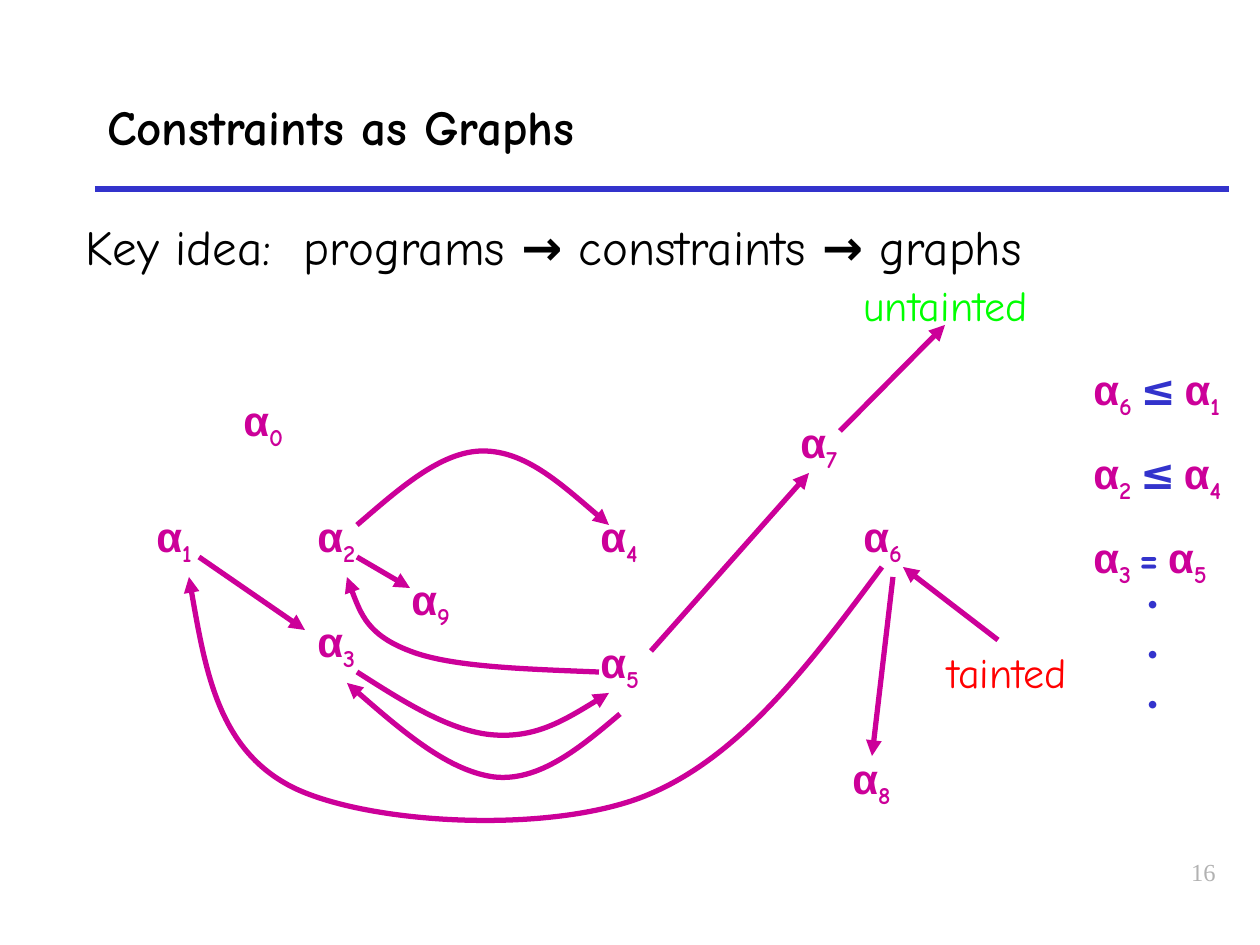
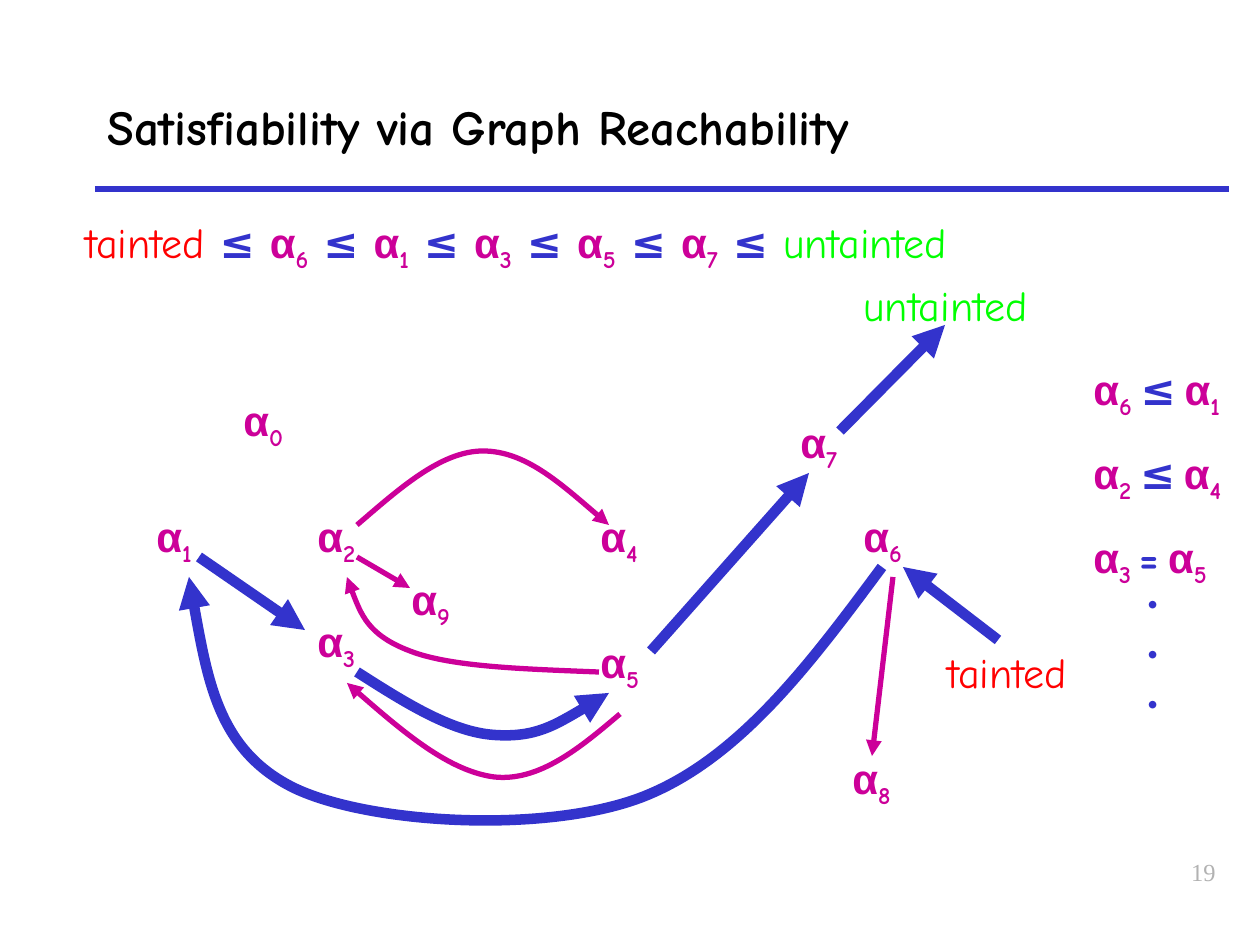
import pptx
import pptx.util
import pptx.dml.color
import pptx.enum.shapes
import pptx.enum.text
import pptx.oxml.ns
import lxml.etree

PX = 914400 / 126
COLORS = {
    "ink": "000000", "blue": "3333CC", "magenta": "CC0099",
    "tainted": "FF0000", "untainted": "00FF00", "number": "B2B2B2",
}
HAND = "Comic Neue"
qn = pptx.oxml.ns.qn

# Positions inside the graph box
NODES = {
    0: (131, 138), 1: (44, 254), 2: (205, 254), 3: (205, 359), 4: (488, 254),
    5: (488, 380), 6: (751, 254), 7: (688, 160), 8: (740, 496), 9: (299, 317),
}
LABELS = {"untainted": (751, 23), "tainted": (835, 390)}
# Two points make a straight edge; more are a start and Bezier triples
EDGES = {
    (6, 1): [(782, 317), (710, 414), (638, 511), (540, 548), (443, 584),
             (269, 574), (194, 538), (119, 501), (104, 414), (89, 327)],
    (2, 4): [(257, 275), (299, 239), (341, 201), (383, 201),
             (425, 201), (467, 239), (509, 275)],
    (3, 5): [(257, 422), (304, 452), (351, 482), (394, 485),
             (436, 488), (472, 466), (509, 443)],
    (5, 3): [(520, 464), (480, 498), (439, 532), (394, 527),
             (349, 521), (297, 477), (247, 433)],
    (5, 2): [(499, 422), (425, 419), (351, 417), (310, 401),
             (268, 385), (257, 356), (247, 327)],
    (1, 3): [(99, 307), (205, 380)],
    ("tainted", 6): [(898, 390), (803, 317)],
    (6, 8): [(793, 327), (772, 506)],
    (5, 7): [(551, 401), (709, 223)],
    (2, 9): [(257, 307), (310, 338)],
    (7, "untainted"): [(740, 181), (845, 75)],
}
REACHING_PATH = ["tainted", 6, 1, 3, 5, 7, "untainted"]
CONSTRAINTS = [(6, "≤", 1), (2, "≤", 4), (3, "=", 5)]


def emu(px):
    return pptx.util.Emu(round(px * PX))


def rgb(name):
    return pptx.dml.color.RGBColor.from_string(COLORS[name])


def add_text(s, box, paragraphs, align="LEFT", anchor="TOP", **base):
    """Each paragraph is a list of (text, format) runs; base holds the defaults."""
    tf = s.shapes.add_textbox(*map(emu, box)).text_frame
    tf.word_wrap = True
    tf.vertical_anchor = getattr(pptx.enum.text.MSO_ANCHOR, anchor)
    for i, runs in enumerate(paragraphs):
        p = tf.paragraphs[0] if i == 0 else tf.add_paragraph()
        p.alignment = getattr(pptx.enum.text.PP_ALIGN, align)
        for text, changes in runs:
            fmt = {"size": 24, "font": HAND, "color": "ink", "bold": False} | base | changes
            r = p.add_run()
            r.text = text
            r.font.size = pptx.util.Pt(fmt["size"])
            r.font.name = fmt["font"]
            r.font.bold = fmt["bold"]
            r.font.color.rgb = rgb(fmt["color"])
            if fmt.get("sub"):
                r.font._element.set("baseline", "-25000")


def alpha(index):
    style = {"color": "magenta", "bold": True}
    return [("α", style | {"font": "Arial"}), (str(index), style | {"sub": True})]


def relation(sign, narrow=False):
    """A sign between two spaces; narrow ones are as small as the subscripts."""
    style = {"color": "blue", "bold": True}
    space = (" ", style | {"sub": narrow})
    return [space, (sign, style), space]


def style_line(sp, color, width, arrow=True):
    sp.line.color.rgb = rgb(color)
    sp.line.width = pptx.util.Pt(width)
    if arrow:
        ln = sp.line._get_or_add_ln()
        lxml.etree.SubElement(ln, qn("a:tailEnd"), type="triangle")


def add_line(s, start, end):
    sp = s.shapes.add_connector(pptx.enum.shapes.MSO_CONNECTOR.STRAIGHT,
                                *map(emu, start + end))
    lxml.etree.SubElement(sp._element.spPr, qn("a:effectLst"))
    return sp


def add_curve(s, points):
    """Lay the control points as a freeform, then join each three into a Bezier."""
    builder = s.shapes.build_freeform(*points[0], scale=PX)
    builder.add_line_segments(points[1:], close=False)
    sp = builder.convert_to_shape()
    sp.shadow.inherit = False
    sp.fill.background()
    steps = list(sp._element.iter(qn("a:lnTo")))
    outline = steps[0].getparent()
    for i in range(0, len(steps), 3):
        bezier = lxml.etree.SubElement(outline, qn("a:cubicBezTo"))
        for step in steps[i:i + 3]:
            bezier.append(step[0])
            outline.remove(step)
    return sp


def add_graph(s, box, highlighted):
    left, top = box
    for index, (x, y) in NODES.items():
        add_text(s, (left + x, top + y, 105, 63), [alpha(index)])
    for label, (x, y) in LABELS.items():
        add_text(s, (left + x, top + y, 220, 63), [[(label, {})]], color=label)
    for edge, offsets in EDGES.items():
        points = [(left + x, top + y) for x, y in offsets]
        sp = add_line(s, *points) if len(points) == 2 else add_curve(s, points)
        style_line(sp, *(("blue", 6) if edge in highlighted else ("magenta", 3)))


def add_constraints(s, box):
    left, top, width = box
    for row, (low, sign, high) in enumerate(CONSTRAINTS):
        runs = alpha(low) + relation(sign, narrow=True) + alpha(high)
        add_text(s, (left, top + 84 * row, width, 63), [runs])
    add_text(s, (left + 53, top + 210, 42, 164), [[("•", {})]] * 3, color="blue")


def add_frame(s, title, number):
    style_line(add_line(s, (95, 189), (1229, 189)), "blue", 3, arrow=False)
    add_text(s, (95, 63, 1134, 126), [[(title, {})]], size=28, bold=True, anchor="MIDDLE")
    add_text(s, (966, 851, 262, 63), [[(str(number), {})]], align="RIGHT",
             size=14, font="Times New Roman", color="number")


def add_graph_slide(prs, title, number, statement, size, highlighted=()):
    s = prs.slides.add_slide(prs.slide_layouts[6])
    add_frame(s, title, number)
    add_graph(s, (100, 250), highlighted)
    add_constraints(s, (1081, 357, 175))
    add_text(s, (73, 210, 1154, 105), [statement], size=size)


def reaching_chain():
    runs = [("tainted", {"color": "tainted"})]
    for index in REACHING_PATH[1:-1]:
        runs += relation("≤") + alpha(index)
    return runs + relation("≤") + [("untainted", {"color": "untainted"})]


def main():
    prs = pptx.Presentation()
    prs.slide_width, prs.slide_height = emu(1260), emu(945)
    arrow = ("→", {"bold": True})
    key_idea = [("Key idea:  programs ", {}), arrow, (" constraints ", {}),
                arrow, (" graphs", {})]
    add_graph_slide(prs, "Constraints as Graphs", 16, key_idea, 28)
    add_graph_slide(prs, "Satisfiability via Graph Reachability", 19, reaching_chain(), 24,
                    set(zip(REACHING_PATH, REACHING_PATH[1:])))
    prs.save("out.pptx")


if __name__ == "__main__":
    main()
